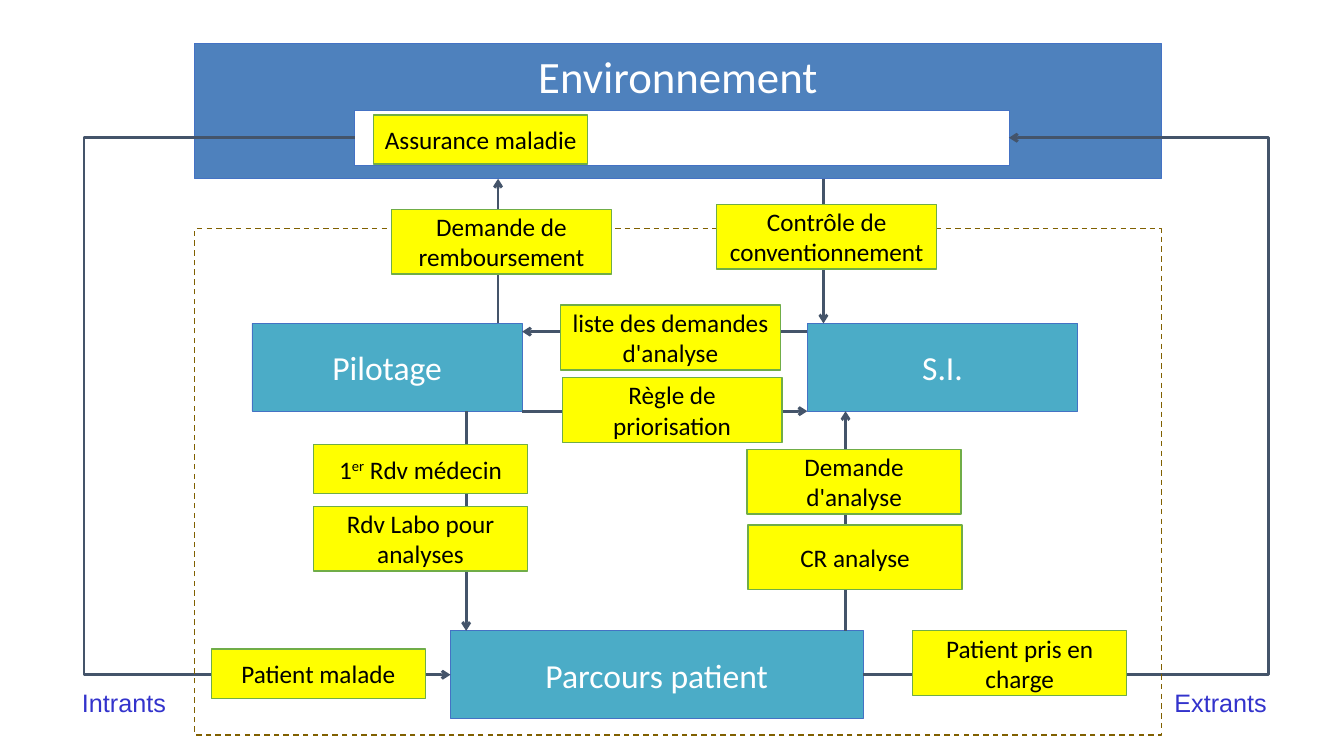
"""Build a care-pathway system diagram with its environment and information flows."""
from lxml import etree
from pptx import Presentation
from pptx import util as u
from pptx.dml.color import RGBColor
from pptx.enum import dml, shapes, text
from pptx.oxml import ns

STYLES = {
    "environment": ("4E81BD", "4472C4", 0.5, 32, "FFFFFF", "Calibri"),
    "actor": ("4BACC7", "4472C4", 0.5, 24, "FFFFFF", "Calibri"),
    "panel": ("FFFFFF", "4472C4", 0.5, 18, "000000", "Calibri"),
    "frame": (None, "806000", 1, 18, "000000", "Calibri"),
    "label": ("FFFF00", "70AD47", 1, 18, "000000", "Calibri"),
    "caption": (None, None, 0, 18, "3333CC", "Arial"),
}
ARROW_COLOUR, ARROW_WIDTH = "44546A", 2
FRAME_LEFT, FRAME_WIDTH = 139, 690.5
BLOCKS = {
    "environment": ("environment", "Environnement", (FRAME_LEFT, 31, FRAME_WIDTH, 96.7)),
    "panel": ("panel", "", (253.4, 78.6, 467.3, 39.6)),
    "management": ("actor", "Pilotage", (180, 231, 193, 62.7)),
    "information": ("actor", "S.I.", (576.7, 231, 193, 62.7)),
    "pathway": ("actor", "Parcours patient", (321.8, 450.6, 294.6, 62.7)),
}
FRAME = (FRAME_LEFT, 163.4, FRAME_WIDTH, 361.5)
VERTICAL_ARROWS = [
    (355.8, "management", "environment"),
    (588.2, "environment", "information"),
    (333, "management", "pathway"),
    (604, "pathway", "information"),
]
HORIZONTAL_ARROWS = [
    (236.9, "information", "management"),
    (293.7, "management", "information"),
]
ELBOWS = [("panel", 1, "pathway", 1, 60), ("pathway", 3, "panel", 3, 906)]
SHORT, TALL = 35.3, 46.2
NARROW, WIDE = 152.8, 157
LABELS = [
    ("Assurance maladie", 267, 82, NARROW, SHORT),
    ("Patient malade", 151, 463.7, NARROW, SHORT),
    ("Patient pris en charge", 652, 450.6, NARROW, TALL),
    ("1^er^ Rdv médecin", 224, 317.3, NARROW, SHORT),
    ("Rdv Labo pour analyses", 224, 361.7, NARROW, TALL),
    ("Demande d'analyse", 533.7, 321, NARROW, TALL),
    ("CR analyse", 534.4, 375, NARROW, TALL),
    ("Contrôle de conventionnement", 512, 146, WIDE, TALL),
    ("Demande de remboursement", 279.7, 149.5, WIDE, TALL),
    ("liste des demandes d'analyse", 400.4, 218, WIDE, TALL),
    ("Règle de priorisation", 401.6, 269.8, WIDE, TALL),
]
CAPTIONS = [("Intrants", 34.6), ("Extrants", 817.9)]
CAPTION_TOP, CAPTION_WIDTH, CAPTION_HEIGHT = 481.7, 108, 39.6


def colour(value):
    return RGBColor.from_string(value)


def add_words(shape, words, style, anchor):
    size, ink, font = STYLES[style][3:]
    frame = shape.text_frame
    frame.word_wrap = True
    frame.vertical_anchor = anchor
    paragraph = frame.paragraphs[0]
    paragraph.alignment = text.PP_ALIGN.CENTER
    for index, piece in enumerate(words.split("^")):
        run = paragraph.add_run()
        run.text = piece
        run.font.size = u.Pt(size)
        run.font.name = font
        run.font.color.rgb = colour(ink)
        if index % 2:
            run.font._element.set("baseline", "30000")


def add_box(slide, style, words, box):
    fill, line, width = STYLES[style][:3]
    shape = slide.shapes.add_shape(shapes.MSO_SHAPE.RECTANGLE, *map(u.Pt, box))
    shape.shadow.inherit = False
    if fill:
        shape.fill.solid()
        shape.fill.fore_color.rgb = colour(fill)
    else:
        shape.fill.background()
    shape.line.color.rgb = colour(line)
    shape.line.width = u.Pt(width)
    if style == "frame":
        shape.line.dash_style = dml.MSO_LINE.DASH
    if words:
        top = style == "environment"
        add_words(shape, words, style, text.MSO_ANCHOR.TOP if top else text.MSO_ANCHOR.MIDDLE)
    return shape


def add_arrow(slide, kind, *ends):
    arrow = slide.shapes.add_connector(kind, *map(u.Pt, ends))
    arrow.line.color.rgb = colour(ARROW_COLOUR)
    arrow.line.width = u.Pt(ARROW_WIDTH)
    etree.SubElement(arrow.line._get_or_add_ln(), ns.qn("a:tailEnd"), type="arrow")
    etree.SubElement(arrow._element.spPr, ns.qn("a:effectLst"))
    return arrow


def facing_edges(source, target, axis):
    start, end = BLOCKS[source][2], BLOCKS[target][2]
    if start[axis] < end[axis]:
        return start[axis] + start[axis + 2], end[axis]
    return start[axis], end[axis] + end[axis + 2]


def side_middle(name, side):
    left, top, width, height = BLOCKS[name][2]
    return left + (width if side == 3 else 0), top + height / 2


def add_elbow(slide, blocks, source, source_side, target, target_side, bend):
    start, end = side_middle(source, source_side), side_middle(target, target_side)
    elbow = add_arrow(slide, shapes.MSO_CONNECTOR.ELBOW, *start, *end)
    elbow.begin_connect(blocks[source], source_side)
    elbow.end_connect(blocks[target], target_side)
    guides = elbow._element.spPr.find(ns.qn("a:prstGeom")).get_or_add_avLst()
    ratio = round((bend - start[0]) / (end[0] - start[0]) * 100000)
    etree.SubElement(guides, ns.qn("a:gd"), name="adj1", fmla=f"val {ratio}")


def main():
    presentation = Presentation()
    presentation.slide_width, presentation.slide_height = u.Pt(960), u.Pt(540)
    slide = presentation.slides.add_slide(presentation.slide_layouts[6])
    blocks = {name: add_box(slide, *block) for name, block in BLOCKS.items()}
    straight = shapes.MSO_CONNECTOR.STRAIGHT
    for x, source, target in VERTICAL_ARROWS:
        start, end = facing_edges(source, target, 1)
        add_arrow(slide, straight, x, start, x, end)
    for y, source, target in HORIZONTAL_ARROWS:
        start, end = facing_edges(source, target, 0)
        add_arrow(slide, straight, start, y, end, y)
    for elbow in ELBOWS:
        add_elbow(slide, blocks, *elbow)
    add_box(slide, "frame", "", FRAME)
    for words, *box in LABELS:
        add_box(slide, "label", words, box)
    for words, left in CAPTIONS:
        box = (left, CAPTION_TOP, CAPTION_WIDTH, CAPTION_HEIGHT)
        caption = slide.shapes.add_textbox(*map(u.Pt, box))
        add_words(caption, words, "caption", text.MSO_ANCHOR.MIDDLE)
    presentation.save("out.pptx")


if __name__ == "__main__":
    main()
